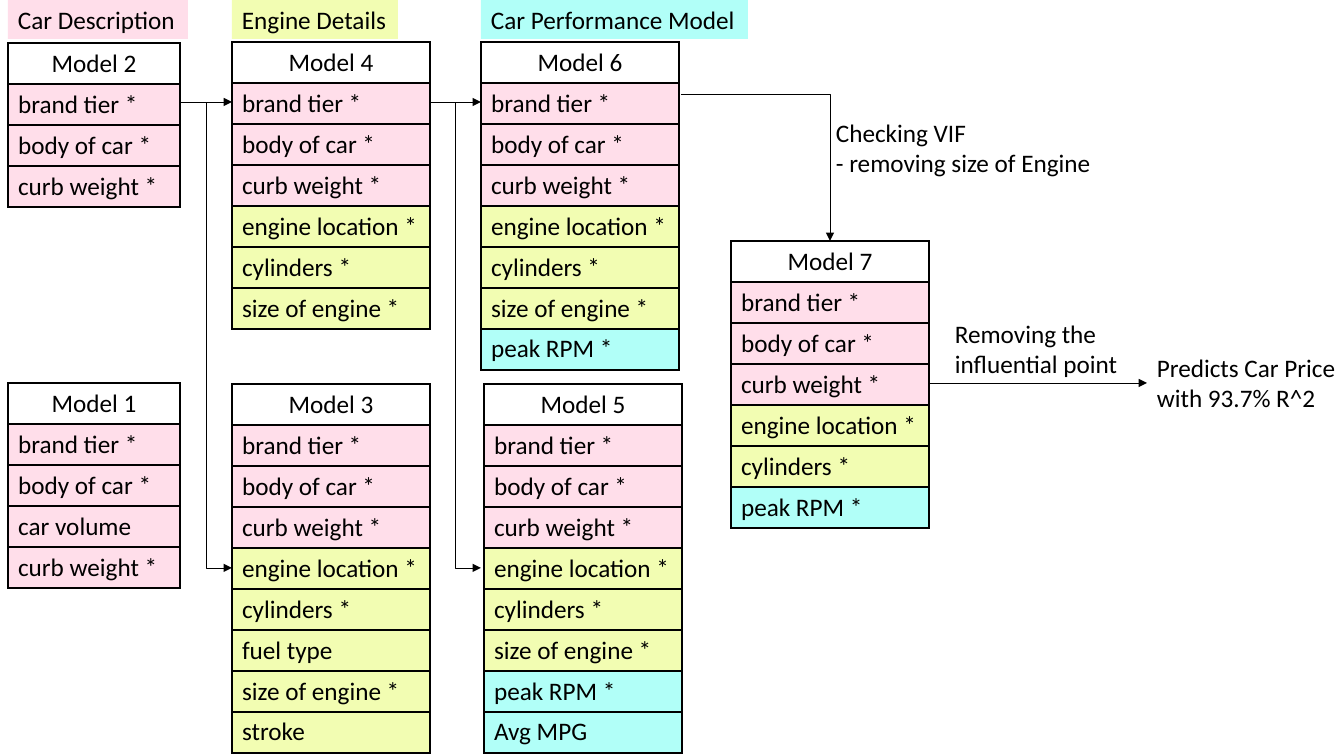
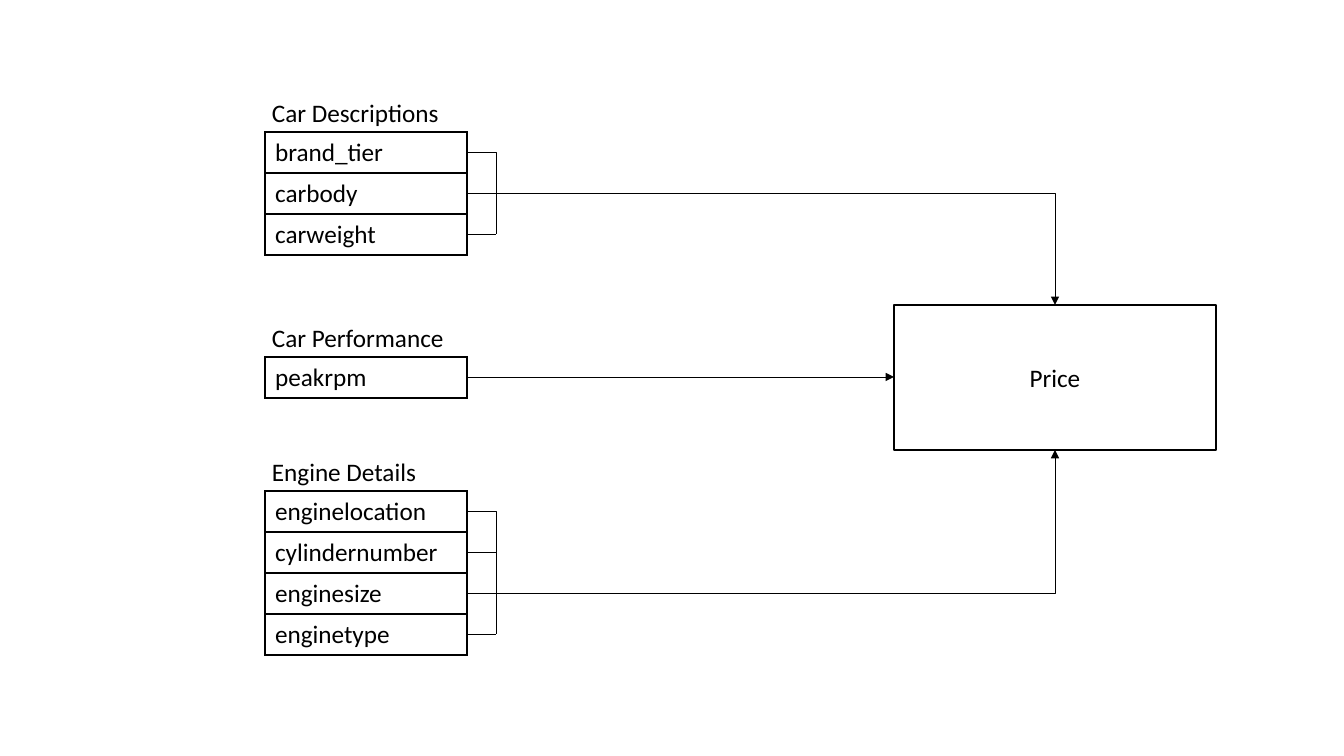
from lxml import etree
from pptx import Presentation
from pptx.dml.color import RGBColor
from pptx.enum.shapes import MSO_CONNECTOR, MSO_SHAPE
from pptx.enum.text import MSO_ANCHOR, MSO_AUTO_SIZE, PP_ALIGN
from pptx.oxml.ns import qn
from pptx.util import Emu, Pt

STRAIGHT = MSO_CONNECTOR.STRAIGHT
RECTANGLE = MSO_SHAPE.RECTANGLE
MIDDLE = MSO_ANCHOR.MIDDLE
GROW = MSO_AUTO_SIZE.SHAPE_TO_FIT_TEXT
LEFT, CENTER = PP_ALIGN.LEFT, PP_ALIGN.CENTER

COLORS = {
    "ink": "000000",
    "paper": "FFFFFF",
    "description": "FFDEEA",
    "engine": "F2FDB2",
    "performance": "B1FFF8",
}
FONT = "Calibri"
EMU_PER_PIXEL = 914400 / 100.8
PAGE_WIDTH, PAGE_HEIGHT = 1344, 756
ROW, LABEL_HEIGHT = 41, 40
BLANK_LAYOUT = 6

LABELS = [
    ("Car Description", "description", 8, 180),
    ("Engine Details", "engine", 232, 166),
    ("Car Performance Model", "performance", 481, 267),
]
DESCRIPTION = ["brand tier *", "body of car *", "curb weight *"]
ENGINE = ["engine location *", "cylinders *", "size of engine *"]
MODELS = [
    ("Model 2", (8, 43, 172), {"description": DESCRIPTION}),
    ("Model 1", (8, 383, 172), {
        "description": DESCRIPTION[:2] + ["car volume"] + DESCRIPTION[2:]}),
    ("Model 4", (232, 42, 198), {"description": DESCRIPTION, "engine": ENGINE}),
    ("Model 3", (232, 384, 198), {
        "description": DESCRIPTION,
        "engine": ENGINE[:2] + ["fuel type", ENGINE[2], "stroke"]}),
    ("Model 6", (481, 42, 198), {
        "description": DESCRIPTION, "engine": ENGINE,
        "performance": ["peak RPM *"]}),
    ("Model 5", (484, 384, 198), {
        "description": DESCRIPTION, "engine": ENGINE,
        "performance": ["peak RPM *", "Avg MPG"]}),
    ("Model 7", (731, 241, 198), {
        "description": DESCRIPTION, "engine": ENGINE[:2],
        "performance": ["peak RPM *"]}),
]


def px(length):
    """Turn pixels into EMU."""
    return Emu(round(length * EMU_PER_PIXEL))


def rgb(name):
    """Look up a named colour."""
    return RGBColor.from_string(COLORS[name])


def write(frame, text, align=LEFT, size=18, color="ink"):
    """Fill a text frame with one paragraph per line of text."""
    for index, line in enumerate(text.split("\n")):
        para = frame.paragraphs[0] if index == 0 else frame.add_paragraph()
        para.alignment = align
        span = para.add_run()
        span.text = line
        span.font.name = FONT
        span.font.size = Pt(size)
        span.font.color.rgb = rgb(color)


def add_text(page, text, box, fill=None, wrap=False):
    """Place a text box, with an optional background colour."""
    shape = page.shapes.add_textbox(*map(px, box))
    shape.text_frame.word_wrap = wrap
    shape.text_frame.auto_size = GROW
    if fill:
        shape.fill.solid()
        shape.fill.fore_color.rgb = rgb(fill)
    write(shape.text_frame, text)


def add_border(cell, width=12700):
    """Draw a thin line on all four sides of a cell."""
    properties = cell._tc.get_or_add_tcPr()
    for side in ("a:lnL", "a:lnR", "a:lnT", "a:lnB"):
        line = etree.SubElement(properties, qn(side), w=str(width))
        fill = etree.SubElement(line, qn("a:solidFill"))
        etree.SubElement(fill, qn("a:srgbClr"), val=COLORS["ink"])


def add_list(page, box, rows):
    """Place a one-column table of (text, fill, alignment) rows."""
    left, top, width = box
    table = page.shapes.add_table(
        len(rows), 1, px(left), px(top), px(width), px(ROW * len(rows))).table
    table.first_row = table.horz_banding = False
    for index, (text, fill, align) in enumerate(rows):
        table.rows[index].height = px(ROW)
        cell = table.cell(index, 0)
        add_border(cell)
        cell.fill.solid()
        cell.fill.fore_color.rgb = rgb(fill)
        write(cell.text_frame, text, align=align)


def add_line(page, start, end, arrow=None, bent=False):
    """Connect two points; a bent line leaves the start horizontally."""
    connector = page.shapes.add_connector(STRAIGHT, *map(px, start + end))
    connector.line.color.rgb = rgb("ink")
    connector.line.width = Pt(0.5)
    properties = connector.element.spPr
    if bent:
        properties.find(qn("a:prstGeom")).set("prst", "bentConnector2")
    if arrow:
        line = properties.find(qn("a:ln"))
        etree.SubElement(line, qn(f"a:{arrow}End"), type="triangle")
    etree.SubElement(properties, qn("a:effectLst"))


def add_model(page, name, box, groups):
    """Place a model table whose features are coloured by group."""
    rows = [(name, "paper", CENTER)]
    for color, features in groups.items():
        rows += [(feature, color, LEFT) for feature in features]
    add_list(page, box, rows)


def add_branch(page, left, right):
    """Link one model to the upper and lower models of the next column."""
    middle = (left + right) // 2
    add_line(page, (left, 102), (right, 102), arrow="tail")
    add_line(page, (right, 568), (middle, 102), arrow="head", bent=True)


def add_group(page, label, box, label_width, names, exit_row, target):
    """Place a labelled variable list, its bracket and its arrow."""
    left, top, width = box
    add_text(page, label, (left - 3, top - LABEL_HEIGHT, label_width, LABEL_HEIGHT))
    add_list(page, box, [(name, "paper", LEFT) for name in names])
    right, spine = left + width, left + width + 29
    centers = [top + ROW * index + ROW // 2 for index in range(len(names))]
    if len(names) > 1:
        add_line(page, (right, centers[0]), (spine, centers[-1]), bent=True)
    for index, center in enumerate(centers):
        if index not in (0, exit_row):
            add_line(page, (spine, center), (right, center))
    start = (right, centers[exit_row])
    add_line(page, start, target or (894, start[1]), arrow="tail",
             bent=target is not None)


def build_models(page):
    """Build the slide that follows the models step by step."""
    for text, color, left, width in LABELS:
        add_text(page, text, (left, -1, width, LABEL_HEIGHT), fill=color)
    for name, box, groups in MODELS:
        add_model(page, name, box, groups)
    add_branch(page, 180, 232)
    add_branch(page, 430, 481)
    add_line(page, (681, 94), (830, 241), arrow="tail", bent=True)
    add_line(page, (929, 383), (1147, 383), arrow="tail")
    add_text(page, "Checking VIF\n- removing size of Engine", (826, 112, 278, 71))
    add_text(page, "Removing the influential point", (945, 313, 185, 71), wrap=True)
    add_text(page, "Predicts Car Price with 93.7% R^2", (1147, 347, 207, 71),
             wrap=True)


def build_price(page):
    """Build the slide that leads the variables to the price."""
    left, top, width, height = 894, 305, 322, 145
    price = page.shapes.add_shape(RECTANGLE, *map(px, (left, top, width, height)))
    price.shadow.inherit = False
    price.fill.solid()
    price.fill.fore_color.rgb = rgb("paper")
    price.line.color.rgb = rgb("ink")
    price.line.width = Pt(1)
    price.text_frame.vertical_anchor = MIDDLE
    write(price.text_frame, "Price", align=CENTER)
    center = left + width // 2
    add_group(page, "Car Descriptions", (265, 132, 202), 190,
              ["brand_tier", "carbody", "carweight"], 1, (center, top))
    add_group(page, "Car Performance", (265, 357, 202), 194, ["peakrpm"], 0, None)
    add_group(page, "Engine Details", (265, 491, 202), 166,
              ["enginelocation", "cylindernumber", "enginesize", "enginetype"],
              2, (center, top + height))


deck = Presentation()
deck.slide_width, deck.slide_height = px(PAGE_WIDTH), px(PAGE_HEIGHT)
for build in (build_models, build_price):
    build(deck.slides.add_slide(deck.slide_layouts[BLANK_LAYOUT]))
deck.save("out.pptx")
